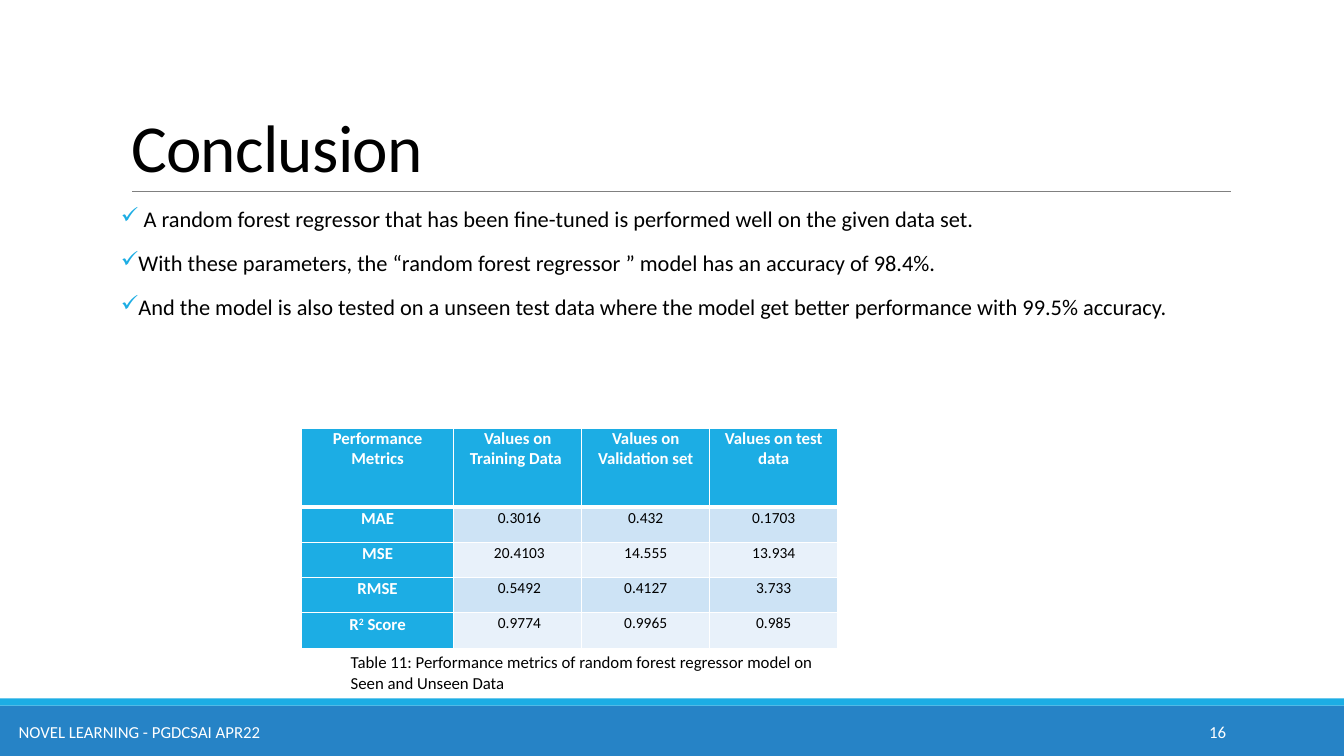
import pptx
import pptx.dml.color
import pptx.enum.shapes
import pptx.enum.text
import pptx.oxml.ns
import pptx.util
from dataclasses import dataclass
from lxml import etree

Inches, Pt = pptx.util.Inches, pptx.util.Pt
Align, Anchor = pptx.enum.text.PP_ALIGN, pptx.enum.text.MSO_ANCHOR
qn = pptx.oxml.ns.qn

# Content
TITLE = "Conclusion"
FINDINGS = [
    " A random forest regressor that has been fine-tuned is performed well on the given data set. ",
    "With these parameters, the “random forest regressor ” model has an accuracy of 98.4%. ",
    "And the model is also tested on a unseen test data where the model get better performance with 99.5% accuracy.",
]
METRICS = [
    ["Performance Metrics", "Values on Training Data\u00a0", "Values on Validation set", "Values on test data"],
    ["MAE", "\u00a00.3016", "0.432", "0.1703"],
    ["MSE", "\u00a020.4103", "14.555", "13.934"],
    ["RMSE", "\u00a00.5492", "0.4127", "3.733"],
    [("R", "2", " Score"), "\u00a00.9774", "0.9965", "0.985"],
]
CAPTION = "Table 11: Performance metrics of random forest regressor model on Seen and Unseen Data"
FOOTER = "NOVEL LEARNING - PGDCSAI APR22"
PAGE_NUMBER = "16"


@dataclass(frozen=True)
class Theme:
    font: str = "Calibri"
    text: str = "000000"
    white: str = "FFFFFF"
    accent: str = "1CADE4"
    footer: str = "2683C6"
    rule: str = "808080"
    bands: tuple = ("CDE3F5", "E8F1FA")
    title_size: int = 48
    body_size: int = 16
    label_size: int = 12
    value_size: int = 11


theme = Theme()


def color(value):
    return pptx.dml.color.RGBColor.from_string(value)


def format_runs(paragraph, size, value, bold=False):
    for run in paragraph.runs:
        run.font.name = theme.font
        run.font.size = Pt(size)
        run.font.color.rgb = color(value)
        run.font.bold = bold


def add_text(box, text, size, value, align=Align.LEFT, anchor=Anchor.TOP):
    shape = slide.shapes.add_textbox(*map(Inches, box))
    frame = shape.text_frame
    frame.word_wrap = True
    frame.vertical_anchor = anchor
    frame.text = text
    for paragraph in frame.paragraphs:
        paragraph.alignment = align
        format_runs(paragraph, size, value)
    return frame


def add_check_bullet(paragraph):
    properties = paragraph._p.get_or_add_pPr()
    properties.set("marL", str(Inches(0.1)))
    properties.set("indent", str(-Inches(0.1)))
    bullet_color = etree.SubElement(properties, qn("a:buClr"))
    etree.SubElement(bullet_color, qn("a:srgbClr"), val=theme.accent)
    etree.SubElement(properties, qn("a:buChar"), char="✓")


def set_borders(cell, widths):
    properties = cell._tc.get_or_add_tcPr()
    for side, width in zip("LRTB", widths):
        line = etree.SubElement(properties, qn(f"a:ln{side}"), w=str(Pt(width)))
        fill = etree.SubElement(line, qn("a:solidFill"))
        etree.SubElement(fill, qn("a:srgbClr"), val=theme.white)


presentation = pptx.Presentation()
presentation.slide_width = Inches(13.33)
presentation.slide_height = Inches(7.5)
slide = presentation.slides.add_slide(presentation.slide_layouts[5])

# Footer bars
for top, height, value in [(7, 0.5, theme.footer), (6.93, 0.07, theme.accent)]:
    bar = slide.shapes.add_shape(pptx.enum.shapes.MSO_SHAPE.RECTANGLE,
                                 0, Inches(top), presentation.slide_width, Inches(height))
    bar.shadow.inherit = False
    bar.fill.solid()
    bar.fill.fore_color.rgb = color(value)
    bar.line.fill.background()

# Title and the rule below it
title = slide.shapes.title
title.left, title.top, title.width, title.height = map(Inches, (1.2, 0.31, 11, 1.59))
title.text_frame.text = TITLE
title.text_frame.auto_size = pptx.enum.text.MSO_AUTO_SIZE.NONE
title.text_frame.vertical_anchor = Anchor.BOTTOM
heading = title.text_frame.paragraphs[0]
heading.alignment = Align.LEFT
heading.line_spacing = 0.85
format_runs(heading, theme.title_size, theme.text)
heading.runs[0].font._element.set("spc", "-50")

title_rule = slide.shapes.add_connector(pptx.enum.shapes.MSO_CONNECTOR.STRAIGHT,
                                        *map(Inches, (1.31, 1.9, 12.21, 1.9)))
title_rule.line.color.rgb = color(theme.rule)
title_rule.line.width = Pt(0.5)
etree.SubElement(title_rule._element.spPr, qn("a:effectLst"))

# Findings
findings = add_text((1.2, 2.02, 11, 4.4), "\n".join(FINDINGS), theme.body_size, theme.text)
findings.margin_left = findings.margin_right = 0
for paragraph in findings.paragraphs:
    paragraph.line_spacing = 0.9
    paragraph.space_before = Pt(12)
    paragraph.space_after = Pt(2)
    add_check_bullet(paragraph)

# Footer texts and table caption
add_text((0, 7.06, 2.77, 0.4), FOOTER, theme.label_size, theme.white, Align.CENTER, Anchor.MIDDLE)
add_text((10.83, 7.06, 1.43, 0.4), PAGE_NUMBER, theme.label_size, theme.white, Align.RIGHT, Anchor.MIDDLE)
add_text((3.38, 6.42, 4.82, 0.71), CAPTION, theme.label_size, theme.text)

# Metrics table
table = slide.shapes.add_table(len(METRICS), len(METRICS[0]),
                               *map(Inches, (2.99, 4.25, 5.31, 2.19))).table
for index, column in enumerate(table.columns):
    column.width = Inches(1.27 if index else 1.51)
for index, row in enumerate(table.rows):
    row.height = Inches(0.35 if index else 0.78)

for row_index, row in enumerate(METRICS):
    for column_index, content in enumerate(row):
        cell = table.cell(row_index, column_index)
        is_header = row_index == 0
        is_label = is_header or column_index == 0
        cell.margin_left = cell.margin_right = Inches(0.07)
        cell.margin_top = cell.margin_bottom = 0
        set_borders(cell, (1, 1, 3 if row_index == 1 else 1, 3 if is_header else 1))
        cell.fill.solid()
        cell.fill.fore_color.rgb = color(theme.accent if is_label else theme.bands[(row_index - 1) % 2])

        paragraph = cell.text_frame.paragraphs[0]
        paragraph.alignment = Align.CENTER
        if not is_header:
            paragraph.line_spacing = 1.07
        parts = content if isinstance(content, tuple) else (content,)
        for part in parts:
            paragraph.add_run().text = part
        format_runs(paragraph, theme.label_size if is_label else theme.value_size,
                    theme.white if is_label else theme.text, is_label)
        if len(parts) > 1:
            paragraph.runs[1].font._element.set("baseline", "30000")

presentation.save("out.pptx")
